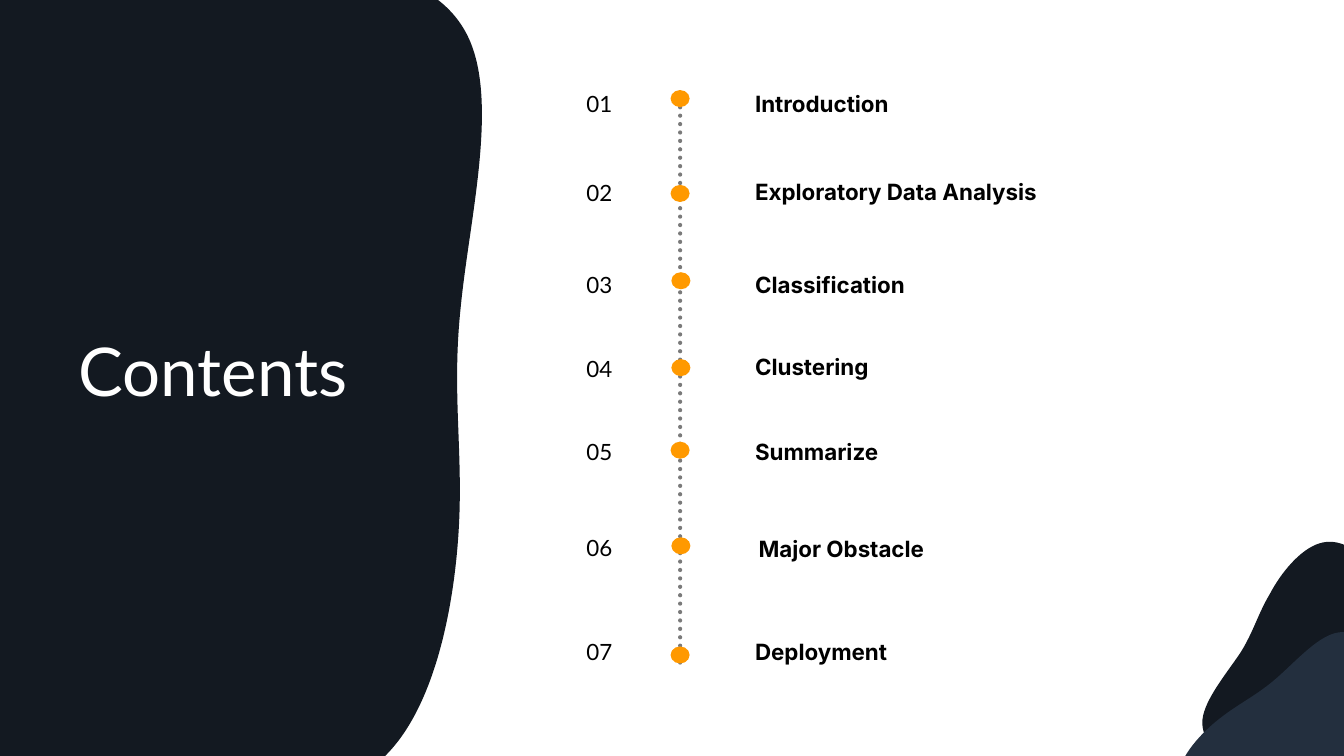
from math import cos, radians, sin

from lxml.etree import SubElement
from pptx import Presentation
from pptx.dml.color import RGBColor as Rgb
from pptx.enum.dml import MSO_LINE_DASH_STYLE as Dash
from pptx.enum.shapes import MSO_CONNECTOR as Connector, MSO_SHAPE as Shape
from pptx.enum.text import MSO_AUTO_SIZE as AutoSize
from pptx.oxml.ns import qn
from pptx.util import Cm, Pt

TITLE = "Contents"
# number, label, then in cm: number top, dot left, dot top, label left, label top
CHAPTERS = [
    ("01", "Introduction", 1.95, 16.9, 2.27, 18.78, 1.95),
    ("02", "Exploratory Data Analysis", 4.19, 16.9, 4.66, 18.78, 4.17),
    ("03", "Classification", 6.5, 16.92, 6.86, 18.78, 6.5),
    ("04", "Clustering", 8.63, 16.92, 9.05, 18.78, 8.58),
    ("05", "Summarize", 10.72, 16.9, 11.13, 18.78, 10.72),
    ("06", "Major Obstacle", 13.13, 16.92, 13.54, 18.87, 13.16),
    ("07", "Deployment", 15.75, 16.9, 16.29, 18.78, 15.75),
]

# Blobs in grid units: box is left, top, width, height before turning;
# in the outline a pair is a corner and six numbers are a Bezier curve
GRID = Cm(2.54)
PANEL = {"color": "night", "turn": 0, "box": (0, -0.36, 4.78, 8.21), "outline": [
    (2.91, -0.35),
    (3.67, -0.37, 4.44, -0.19, 4.68, 0.45),
    (4.93, 1.11, 4.65, 2.22, 4.57, 3.06),
    (4.48, 3.91, 4.6, 4.49, 4.55, 5.28),
    (4.5, 6.07, 4.3, 7.05, 3.8, 7.52),
    (3.37, 7.93, 2.72, 7.94, 2.13, 7.68),
    (1.96, 7.59), (1.96, 7.69), (0, 7.69), (0, -0.15), (1.81, -0.15), (1.82, -0.15),
    (2.16, -0.29, 2.53, -0.35, 2.91, -0.35),
]}
BACK_HILL = {"color": "night", "turn": 206.4, "box": (12.27, 5.35, 1.37, 2.42), "outline": [
    (11.93, 7.14),
    (11.95, 6.94, 12.17, 6.68, 12.31, 6.47),
    (12.44, 6.26, 12.48, 6.09, 12.6, 5.89),
    (12.71, 5.68, 12.9, 5.45, 13.09, 5.39),
    (13.28, 5.33, 13.48, 5.45, 13.6, 5.63),
    (13.72, 5.82, 13.76, 6.07, 13.73, 6.33),
    (13.7, 6.58, 13.6, 6.83, 13.46, 7.07),
    (13.31, 7.31, 13.13, 7.53, 12.93, 7.63),
    (12.72, 7.72, 12.5, 7.68, 12.3, 7.59),
    (12.09, 7.49, 11.91, 7.34, 11.93, 7.14),
]}
FRONT_HILL = {"color": "slate", "turn": 55.1, "box": (12.14, 6.17, 1.37, 2.42), "outline": [
    (13.25, 6.28),
    (13.05, 6.33, 12.83, 6.59, 12.64, 6.75),
    (12.45, 6.91, 12.29, 6.98, 12.1, 7.13),
    (11.92, 7.27, 11.72, 7.49, 11.69, 7.68),
    (11.66, 7.88, 11.8, 8.06, 12, 8.15),
    (12.2, 8.24, 12.46, 8.25, 12.71, 8.18),
    (12.95, 8.11, 13.19, 7.98, 13.4, 7.8),
    (13.62, 7.62, 13.81, 7.41, 13.87, 7.19),
    (13.94, 6.98, 13.86, 6.76, 13.74, 6.57),
    (13.62, 6.39, 13.45, 6.23, 13.25, 6.28),
]}

THEME = {
    "night": Rgb(0x13, 0x19, 0x21),
    "slate": Rgb(0x23, 0x2F, 0x3E),
    "accent": Rgb(0xFF, 0x99, 0x00),
    "rail": Rgb(0x59, 0x59, 0x59),
    "ink": Rgb(0, 0, 0),
    "paper": Rgb(0xFF, 0xFF, 0xFF),
    "title_font": "Lato",
    "label_font": "Inter",
    "title_size": Pt(48),
    "row_size": Pt(16),
}
ROW_HEIGHT = 1.07
NUMBER_LEFT, NUMBER_WIDTH = 14.53, 2.06
LABEL_WIDTH, LONG_LABEL_WIDTH = 6.53, 9.02
RAIL_X, RAIL_TOP, RAIL_BOTTOM = 17.14, 2.49, 16.81
DOT_WIDTH, DOT_HEIGHT = 0.48, 0.43


def paint(shape, color):
    shape.shadow.inherit = False
    shape.fill.solid()
    shape.fill.fore_color.rgb = color
    shape.line.fill.background()


def add_blob(slide, blob):
    left, top, width, height = blob["box"]
    angle = radians(-blob["turn"])

    def place(x, y):
        """Turn a slide point back into the box of the unturned shape."""
        dx, dy = x - left - width / 2, y - top - height / 2
        return (round((dx * cos(angle) - dy * sin(angle) + width / 2) * GRID),
                round((dx * sin(angle) + dy * cos(angle) + height / 2) * GRID))

    # The builder fixes the box, then the curves replace its diagonal
    builder = slide.shapes.build_freeform(round(left * GRID), round(top * GRID))
    corner = (round((left + width) * GRID), round((top + height) * GRID))
    builder.add_line_segments([corner], close=True)
    shape = builder.convert_to_shape()
    track = next(shape._element.iter(qn("a:path")))
    for step in list(track):
        track.remove(step)
    for index, segment in enumerate(blob["outline"]):
        kind = "a:cubicBezTo" if len(segment) == 6 else "a:lnTo" if index else "a:moveTo"
        step = SubElement(track, qn(kind))
        for x, y in zip(segment[::2], segment[1::2]):
            point = SubElement(step, qn("a:pt"))
            for axis, value in zip("xy", place(x, y)):
                point.set(axis, str(value))
    SubElement(track, qn("a:close"))
    shape.rotation = blob["turn"]
    paint(shape, THEME[blob["color"]])


def add_text(slide, text, box, font, size, color, bold=False, wrap=True, spacing=None):
    frame = slide.shapes.add_textbox(*map(Cm, box)).text_frame
    frame.word_wrap = wrap
    frame.auto_size = AutoSize.SHAPE_TO_FIT_TEXT
    frame.text = text
    paragraph = frame.paragraphs[0]
    paragraph.line_spacing = spacing
    style = paragraph.runs[0].font
    style.name, style.size, style.bold = font, size, bold
    style.color.rgb = color


def add_timeline(slide):
    timeline = slide.shapes.add_group_shape().shapes
    rail = timeline.add_connector(Connector.STRAIGHT, Cm(RAIL_X), Cm(RAIL_TOP),
                                  Cm(RAIL_X), Cm(RAIL_BOTTOM))
    rail.line.color.rgb = THEME["rail"]
    rail.line.width = Pt(3)
    rail.line.dash_style = Dash.ROUND_DOT
    # Round dots at 80% opacity, without shadow
    stroke = rail._element.spPr.find(qn("a:ln"))
    stroke.set("cap", "rnd")
    SubElement(next(stroke.iter(qn("a:srgbClr"))), qn("a:alpha")).set("val", "80000")
    SubElement(rail._element.spPr, qn("a:effectLst"))
    for _, _, _, dot_left, dot_top, _, _ in CHAPTERS:
        dot = timeline.add_shape(Shape.OVAL, Cm(dot_left), Cm(dot_top),
                                 Cm(DOT_WIDTH), Cm(DOT_HEIGHT))
        paint(dot, THEME["accent"])


def main():
    deck = Presentation()
    deck.slide_width, deck.slide_height = Cm(33.87), Cm(19.05)
    slide = deck.slides.add_slide(deck.slide_layouts[6])

    # Title panel
    add_blob(slide, PANEL)
    add_text(slide, TITLE, (1.73, 8.18, 7.49, 2.31), THEME["title_font"],
             THEME["title_size"], THEME["paper"], wrap=False)

    # Chapter list
    add_timeline(slide)
    for number, label, number_top, _, _, label_left, label_top in CHAPTERS:
        add_text(slide, number, (NUMBER_LEFT, number_top, NUMBER_WIDTH, ROW_HEIGHT),
                 THEME["title_font"], THEME["row_size"], THEME["ink"], spacing=1.3)
        width = LONG_LABEL_WIDTH if len(label) > 20 else LABEL_WIDTH
        add_text(slide, label, (label_left, label_top, width, ROW_HEIGHT),
                 THEME["label_font"], THEME["row_size"], THEME["ink"],
                 bold=True, spacing=1.3)

    # Corner hills
    for hill in (BACK_HILL, FRONT_HILL):
        add_blob(slide, hill)

    deck.save("out.pptx")


if __name__ == "__main__":
    main()
